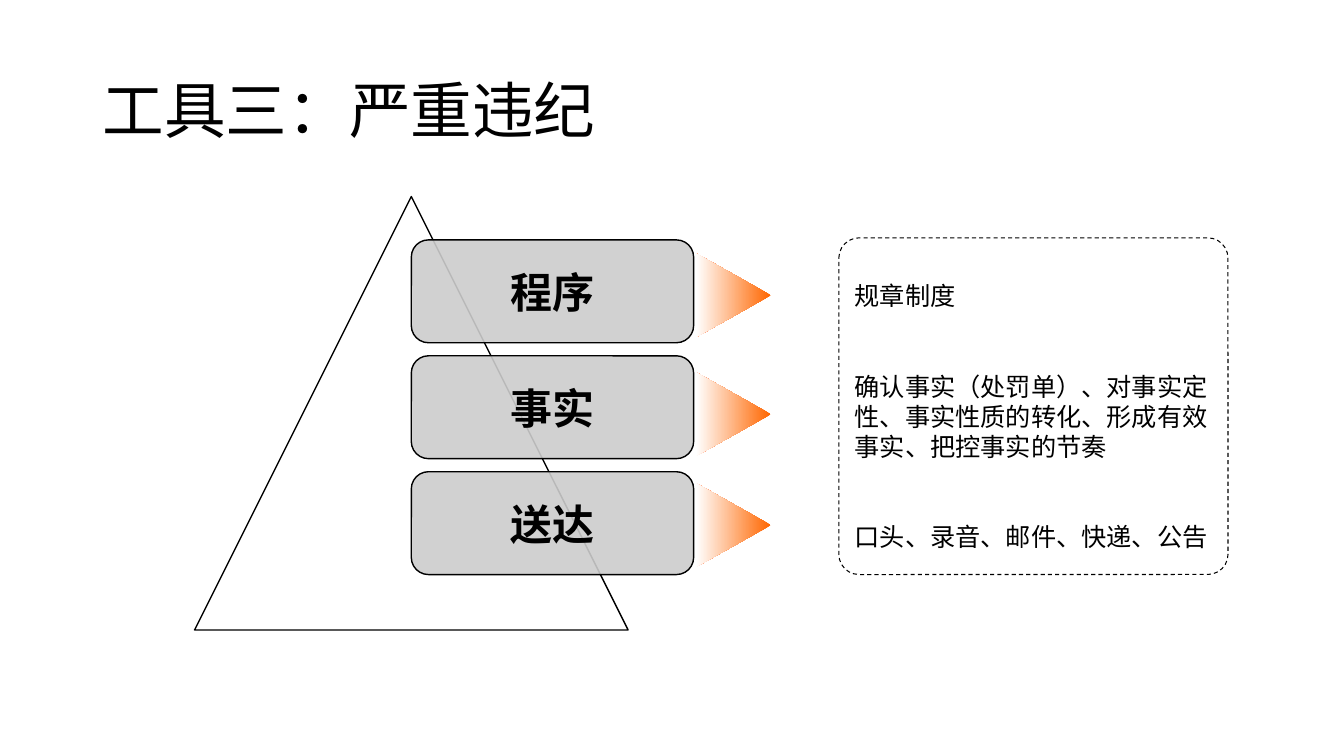
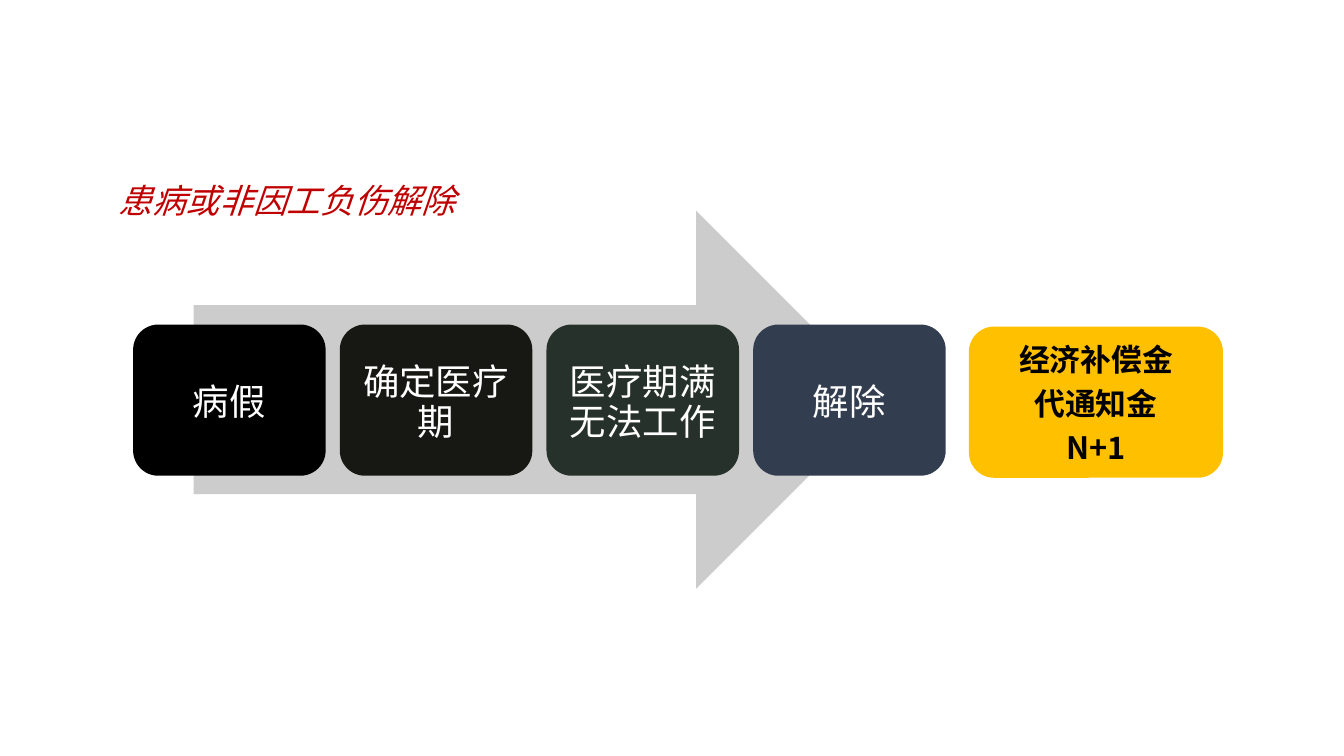
from lxml import etree
from pptx import Presentation
from pptx.dml.color import RGBColor
from pptx.enum.dml import MSO_LINE
from pptx.enum.shapes import MSO_SHAPE
from pptx.enum.text import MSO_ANCHOR, PP_ALIGN
from pptx.oxml.ns import qn
from pptx.util import Inches, Pt

ROUNDED, TRIANGLE = MSO_SHAPE.ROUNDED_RECTANGLE, MSO_SHAPE.ISOSCELES_TRIANGLE
RIGHT_ARROW = MSO_SHAPE.RIGHT_ARROW
TOP, MIDDLE = MSO_ANCHOR.TOP, MSO_ANCHOR.MIDDLE
LEFT, CENTER = PP_ALIGN.LEFT, PP_ALIGN.CENTER

CJK, LATIN = "Noto Sans CJK SC", "Calibri"
BLACK, WHITE, GREY = "000000", "FFFFFF", "CCCCCC"
ORANGE, RED, GOLD = "FF6600", "C00000", "FFC000"
LINE_RATIO = 1.1  # exact line height as a share of the text size

TITLE = "工具三：严重违纪"
LEVELS = [("程序", 2.56), ("事实", 3.74), ("送达", 4.84)]  # label, pointer top
NOTES = [
    ["规章制度"],
    ["确认事实（处罚单）、对事实定", "性、事实性质的转化、形成有效", "事实、把控事实的节奏"],
    ["口头、录音、邮件、快递、公告"],
]

SUBTITLE = "患病或非因工负伤解除"
STEPS = [("病假", "000000"), ("确定医疗期", "171813"),
         ("医疗期满无法工作", "27312B"), ("解除", "323E4F")]
PAYMENTS = [["经济补偿金"], ["代通知金"], ["N+1"]]


def rgb(code):
    return RGBColor.from_string(code)


def add_shape(slide, preset, box, fill=None, line=None, width=1):
    shape = slide.shapes.add_shape(preset, *map(Inches, box))
    shape.shadow.inherit = False
    if fill:
        shape.fill.solid()
        shape.fill.fore_color.rgb = rgb(fill)
    if line:
        shape.line.color.rgb = rgb(line)
        shape.line.width = Pt(width)
    else:
        shape.line.fill.background()
    return shape


def write(shape, paragraphs, size, color=BLACK, bold=False, italic=False, font=CJK,
          align=LEFT, anchor=TOP, insets=(0.1, 0.05, 0.1, 0.05), gap=0, spacing=None):
    """Fill a shape with paragraphs, each a list of lines; gap goes between paragraphs."""
    frame = shape.text_frame
    frame.word_wrap = True
    frame.vertical_anchor = anchor
    (frame.margin_left, frame.margin_top,
     frame.margin_right, frame.margin_bottom) = map(Inches, insets)
    for i, lines in enumerate(paragraphs):
        paragraph = frame.add_paragraph() if i else frame.paragraphs[0]
        paragraph.alignment = align
        paragraph.line_spacing = spacing or Pt(size * LINE_RATIO)
        paragraph.space_before = Pt(gap if i else 0)
        for j, line in enumerate(lines):
            if j:
                paragraph.add_line_break()
            run = paragraph.add_run()
            run.text = line
            run.font.size = Pt(size)
            run.font.bold, run.font.italic = bold, italic
            run.font.color.rgb = rgb(color)
            run.font.name = font
            east_asian = etree.SubElement(run.font._element, qn("a:ea"))
            east_asian.set("typeface", CJK)


def add_label(slide, box, paragraphs, size, **style):
    write(slide.shapes.add_textbox(*map(Inches, box)), paragraphs, size, **style)


def write_card(shape, paragraphs, size, inset=0.11, **style):
    """Centre text in a card, with a little more room above it."""
    write(shape, paragraphs, size, align=CENTER, anchor=MIDDLE,
          insets=(inset, inset + 0.05, inset, inset), **style)


def set_opacity(shape, percent):
    color = shape.fill._xPr.find(qn("a:solidFill"))[0]
    etree.SubElement(color, qn("a:alpha")).set("val", str(percent * 1000))


def add_pointer(slide, top):
    """Triangle that points right and fades to white at its base."""
    pointer = add_shape(slide, TRIANGLE, (6.86, top, 0.83, 0.74))
    pointer.rotation = 270
    pointer._element.spPr.xfrm.set("flipV", "1")
    pointer.fill.gradient()
    pointer.fill.gradient_angle = 270
    for stop, color, position in zip(pointer.fill.gradient_stops, (ORANGE, WHITE), (0, 1)):
        stop.color.rgb = rgb(color)
        stop.position = position


def build_misconduct(slide):
    add_shape(slide, TRIANGLE, (1.93, 1.95, 4.3, 4.3), WHITE, BLACK)
    for i, (label, _) in enumerate(LEVELS):
        card = add_shape(slide, ROUNDED, (4.08, 2.38 + i * 1.15, 2.8, 1.02), GREY, BLACK)
        set_opacity(card, 90)
        write_card(card, [[label]], 30, inset=0.12, bold=True)
    for _, top in LEVELS:
        add_pointer(slide, top)
    notes = add_shape(slide, ROUNDED, (8.32, 2.36, 3.86, 3.34), WHITE, BLACK, 0.75)
    notes.adjustments[0] = 0.06
    notes.line.dash_style = MSO_LINE.DASH
    write(notes, NOTES, 18, insets=(0.1, 0.37, 0, 0), gap=43, spacing=Pt(21.4))
    add_label(slide, (0.92, 0.4, 11.5, 1.45), [[TITLE]], 44, font=LATIN,
              anchor=MIDDLE, spacing=0.9)


def build_sick_leave(slide):
    add_label(slide, (1.08, 1.73, 4.96, 0.5), [[SUBTITLE]], 24, color=RED,
              italic=True, spacing=Pt(29))
    add_shape(slide, RIGHT_ARROW, (1.92, 2.09, 6.86, 3.75), GREY)
    for i, (step, fill) in enumerate(STEPS):
        card = add_shape(slide, ROUNDED, (1.32 + i * 2.05, 3.22, 1.91, 1.5), fill)
        write_card(card, [[step]], 26, color=WHITE)
    payment = add_shape(slide, ROUNDED, (9.61, 3.24, 2.52, 1.5), GOLD)
    write_card(payment, PAYMENTS, 22, bold=True, gap=7.5)


def main():
    deck = Presentation()
    deck.slide_width, deck.slide_height = Inches(13.33), Inches(7.5)
    for build in (build_misconduct, build_sick_leave):
        build(deck.slides.add_slide(deck.slide_layouts[6]))
    deck.save("out.pptx")


if __name__ == "__main__":
    main()
